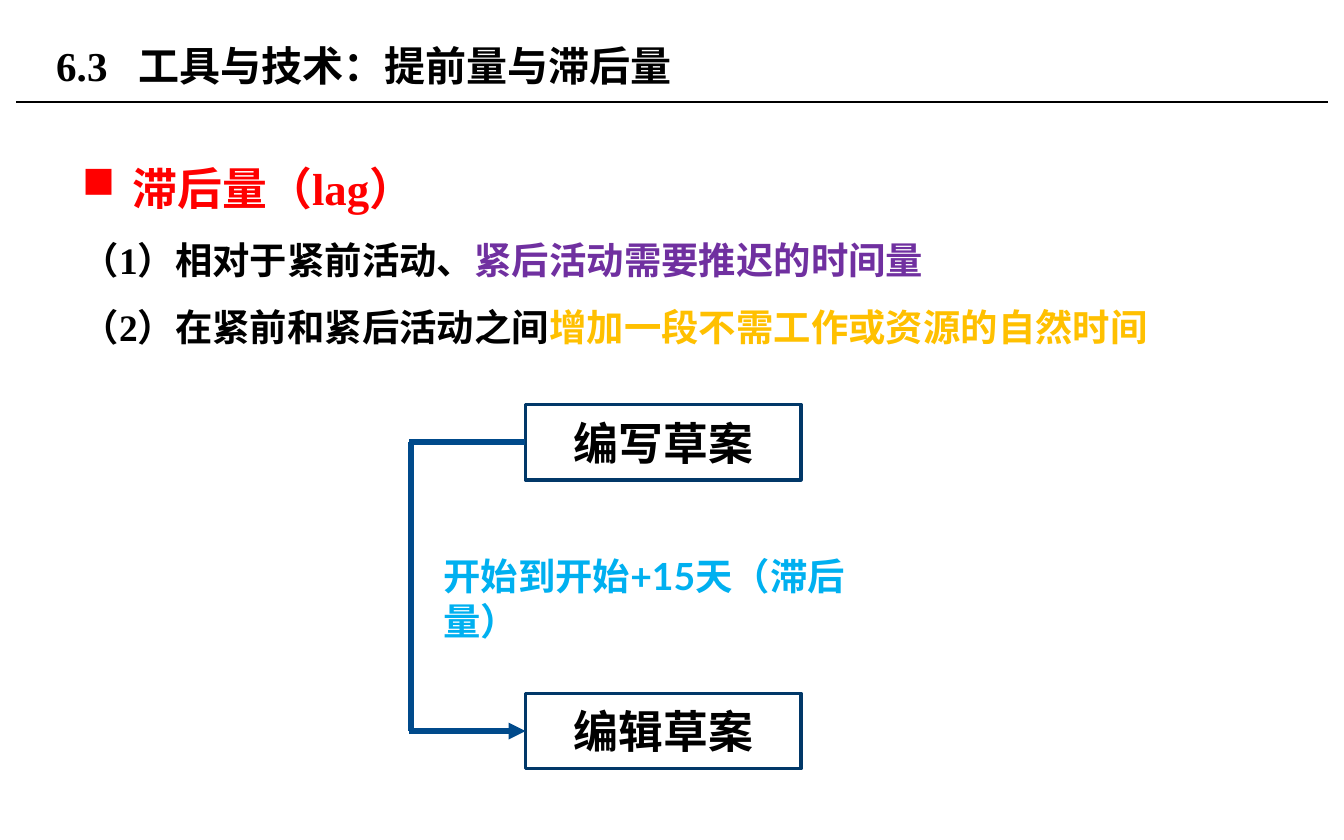
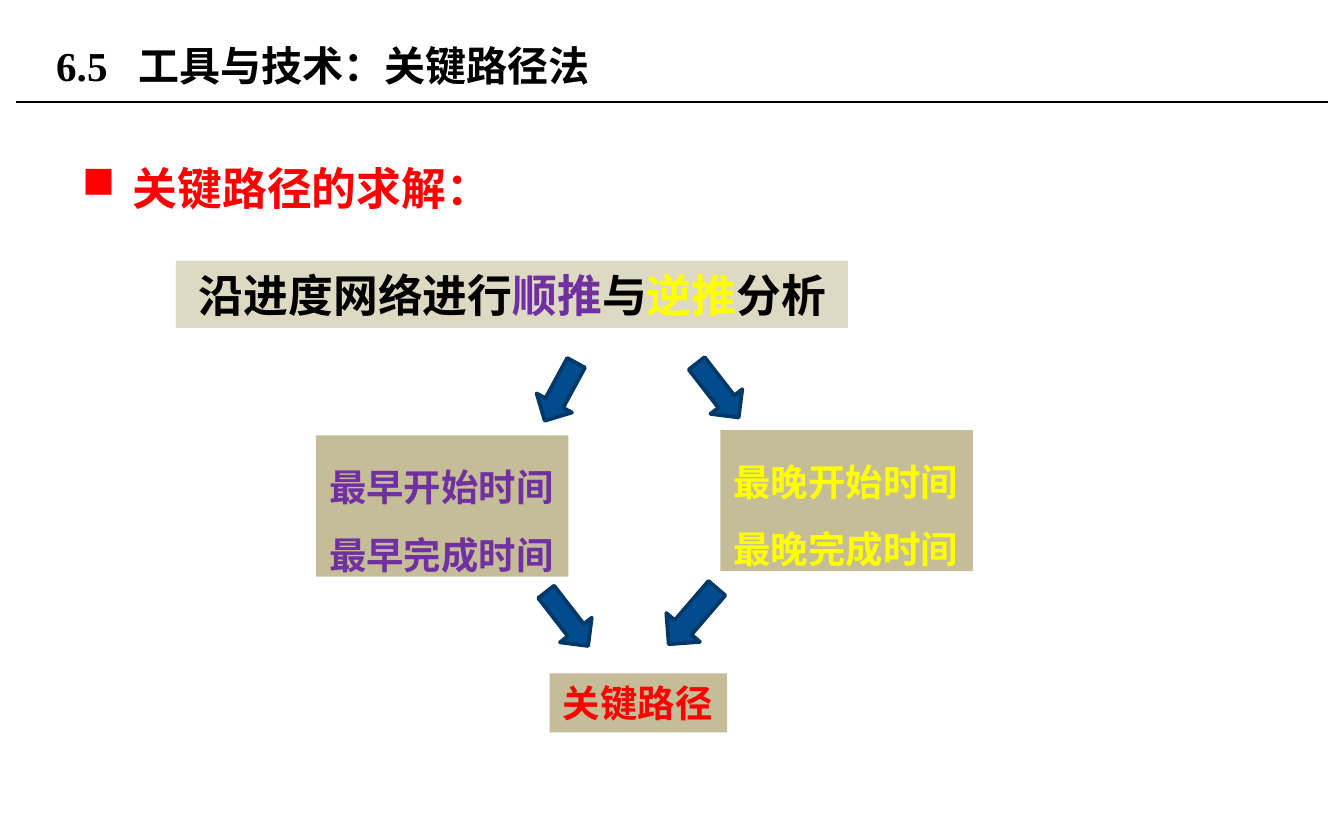
from lxml import etree
from pptx import Presentation
from pptx.dml.color import RGBColor
from pptx.enum.shapes import MSO_CONNECTOR, MSO_SHAPE
from pptx.enum.text import MSO_ANCHOR, MSO_AUTO_SIZE, PP_ALIGN
from pptx.oxml.ns import qn
from pptx.util import Inches, Pt

STRAIGHT = MSO_CONNECTOR.STRAIGHT
RECTANGLE, DOWN_ARROW = MSO_SHAPE.RECTANGLE, MSO_SHAPE.DOWN_ARROW
TOP, MIDDLE = MSO_ANCHOR.TOP, MSO_ANCHOR.MIDDLE
LEFT, CENTER = PP_ALIGN.LEFT, PP_ALIGN.CENTER
GROW = MSO_AUTO_SIZE.SHAPE_TO_FIT_TEXT
LEFT_SIDE = 1

SERIF, SANS = "Times New Roman", "Lato"
BLACK, WHITE, RED = "000000", "FFFFFF", "FF0000"
PURPLE, GOLD, YELLOW, SKY = "7030A0", "FFC000", "FFFF00", "00B0F0"
NAVY, BLUE, ARROW_BLUE = "013868", "004A8B", "014C8D"
TAN, LIGHT_TAN = "C4BD97", "DDD9C3"

TITLE_BOX = (0.32, 0.13, 7.28, 0.71)
BODY_BOX = (0.51, 0.95, 8.98, 3.9)


def color(hex_string):
    return RGBColor.from_string(hex_string)


def set_format(target, values):
    for name, value in values.items():
        setattr(target, name, value)


def write(shape, paragraphs, size, font=SERIF, spacing=1.0, align=LEFT, **frame_format):
    """Fill a shape with paragraphs, each a list of (text, colour) runs."""
    frame = shape.text_frame
    set_format(frame, {"word_wrap": True, "vertical_anchor": TOP, **frame_format})
    for index, runs in enumerate(paragraphs):
        paragraph = frame.paragraphs[0] if index == 0 else frame.add_paragraph()
        set_format(paragraph, {"alignment": align, "line_spacing": spacing})
        for text, hex_string in runs:
            run = paragraph.add_run()
            run.text = text
            set_format(run.font, {"name": font, "size": Pt(size), "bold": True})
            run.font.color.rgb = color(hex_string)
    return frame


def add_text(slide, box, paragraphs, size, **options):
    text_box = slide.shapes.add_textbox(*map(Inches, box))
    return write(text_box, paragraphs, size, **options)


def add_block(slide, box, fill, outline=None, kind=RECTANGLE):
    shape = slide.shapes.add_shape(kind, *map(Inches, box))
    shape.shadow.inherit = False
    shape.fill.solid()
    shape.fill.fore_color.rgb = color(fill)
    if outline:
        shape.line.color.rgb = color(outline)
        shape.line.width = Pt(2)
    else:
        shape.line.fill.background()
    return shape


def add_line(slide, start, end, hex_string, width, arrow=False):
    line = slide.shapes.add_connector(STRAIGHT, *map(Inches, (*start, *end)))
    line.line.color.rgb = color(hex_string)
    line.line.width = Pt(width)
    properties = line._element.spPr
    if arrow:
        etree.SubElement(properties.find(qn("a:ln")), qn("a:tailEnd"), type="triangle")
    etree.SubElement(properties, qn("a:effectLst"))
    return line


def add_titled_slide(presentation, number, title):
    slide = presentation.slides.add_slide(presentation.slide_layouts[6])
    add_line(slide, (0.12, 0.76), (9.88, 0.76), BLACK, 0.75)
    frame = add_text(slide, TITLE_BOX, [[(f"{number}\t{title}", BLACK)]], 22,
                     vertical_anchor=MIDDLE)
    properties = frame.paragraphs[0]._p.get_or_add_pPr()
    tabs = etree.SubElement(properties, qn("a:tabLst"))
    etree.SubElement(tabs, qn("a:tab"), pos=str(Inches(0.61)), algn="l")
    return slide


def add_body(slide, heading, points=()):
    """Place a bulleted red heading with its plain points below."""
    frame = add_text(slide, BODY_BOX, [[(heading, RED)], *points], 24, spacing=1.5)
    heading_paragraph, *point_paragraphs = frame.paragraphs
    properties = heading_paragraph._p.get_or_add_pPr()
    indent = Inches(0.38)
    properties.set("marL", str(indent))
    properties.set("indent", str(-indent))
    etree.SubElement(properties, qn("a:buChar"), char="■")
    for paragraph in point_paragraphs:
        for run in paragraph.runs:
            run.font.size = Pt(20)


def add_lag_diagram(slide, left, top):
    """Join two activities by a bracket that starts at the given corner."""
    activity_left, width, height, step = left + 0.87, 2.05, 0.56, 2.15
    activities = []
    for index, name in enumerate(("编写草案", "编辑草案")):
        activity = add_block(slide, (activity_left, top + index * step, width, height),
                             WHITE, NAVY)
        write(activity, [[(name, BLACK)]], 24, font=SANS, align=CENTER,
              vertical_anchor=MIDDLE)
        activities.append(activity)
    first, second = activities
    upper = top + height / 2
    lower = upper + step

    arrow = add_line(slide, (left, lower), (activity_left, lower), BLUE, 3, arrow=True)
    arrow.end_connect(second, LEFT_SIDE)
    stub = add_line(slide, (activity_left, upper), (left, upper), BLUE, 3)
    stub.begin_connect(first, LEFT_SIDE)
    spine = left + 0.02
    add_line(slide, (spine, upper), (spine, lower), BLUE, 3)
    add_text(slide, (left + 0.16, top + 1.06, 3.6, 0.44),
             [[("开始到开始+15天（滞后量）", SKY)]], 20, font=SANS, auto_size=GROW)


def add_label(slide, box, paragraphs, size=20, fill=TAN, **options):
    write(add_block(slide, box, fill), paragraphs, size,
          **{"word_wrap": False, "auto_size": GROW, **options})


def add_critical_path_diagram(slide, left, top):
    def place(x, y, width, height):
        return left + x, top + y, width, height

    for word, hex_string, x, y in (("最早", PURPLE, 1.04, 1.3), ("最晚", YELLOW, 4.05, 1.26)):
        times = [[(f"{word}{event}时间", hex_string)] for event in ("开始", "完成")]
        add_label(slide, place(x, y, 1.88, 1.05), times, spacing=1.5)

    analysis = [("沿进度网络进行", BLACK), ("顺推", PURPLE), ("与", BLACK),
                ("逆推", YELLOW), ("分析", BLACK)]
    add_label(slide, place(0, 0, 5, 0.5), [analysis], 24, LIGHT_TAN,
              margin_left=Inches(0.17))

    for x, y, width, height, rotation in (
        (2.71, 0.73, 0.3, 0.49, 28.5),
        (3.88, 0.71, 0.3, 0.51, 322.2),
        (3.68, 2.37, 0.33, 0.55, 40.7),
        (2.76, 2.41, 0.3, 0.51, 322.2),
    ):
        arrow = add_block(slide, place(x, y, width, height), ARROW_BLUE, NAVY, DOWN_ARROW)
        arrow.rotation = rotation

    add_label(slide, place(2.78, 3.07, 1.32, 0.44), [[("关键路径", RED)]])


def main():
    presentation = Presentation()
    set_format(presentation, {"slide_width": Inches(10), "slide_height": Inches(6.25)})

    lag_slide = add_titled_slide(presentation, "6.3", "工具与技术：提前量与滞后量")
    add_body(lag_slide, "滞后量（lag）", [
        [("（1）相对于紧前活动、", BLACK), ("紧后活动需要推迟的时间量", PURPLE)],
        [("（2）在紧前和紧后活动之间", BLACK), ("增加一段不需工作或资源的自然时间", GOLD)],
    ])
    add_lag_diagram(lag_slide, 3.04, 3.01)

    path_slide = add_titled_slide(presentation, "6.5", "工具与技术：关键路径法")
    add_body(path_slide, "关键路径的求解：")
    add_critical_path_diagram(path_slide, 1.31, 1.94)

    presentation.save("out.pptx")


if __name__ == "__main__":
    main()
